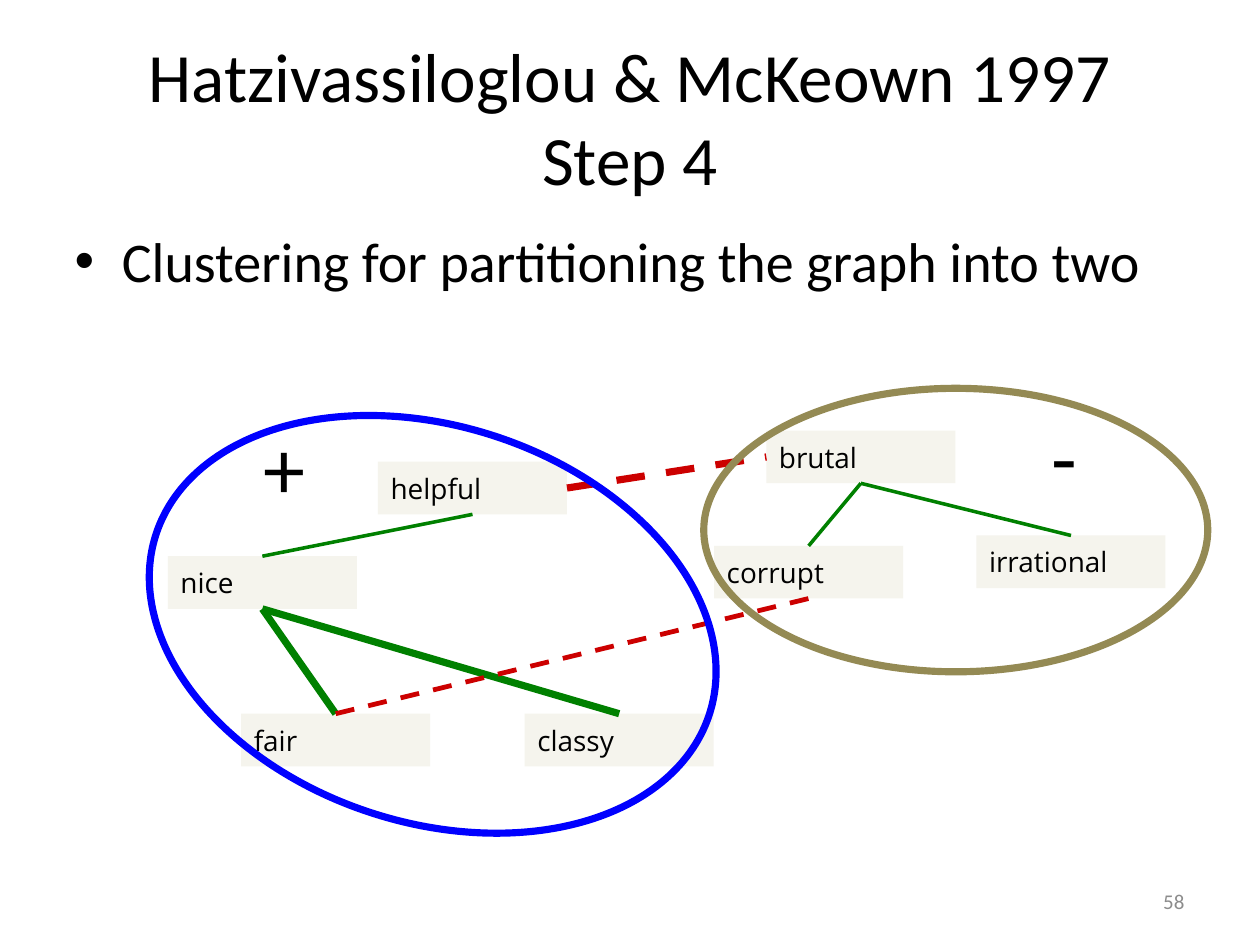
from dataclasses import dataclass
from typing import Any, NamedTuple, Optional

from pptx import Presentation
from pptx.dml.color import RGBColor
from pptx.enum.dml import MSO_LINE
from pptx.enum.shapes import MSO_CONNECTOR, MSO_SHAPE
from pptx.enum.text import MSO_ANCHOR, PP_ALIGN
from pptx.oxml.ns import qn
from pptx.util import Cm, Pt
from lxml.etree import SubElement


@dataclass(frozen=True)
class Theme:
    ink: str = "000000"
    gray: str = "8C8C8C"
    cream: str = "F5F4ED"
    green: str = "008000"
    red: str = "CC0000"
    blue: str = "0000FF"
    olive: str = "948A54"
    main: str = "Calibri"
    label: str = "Open Sans"
    title: float = 43.6
    body: float = 35.3
    sign: float = 52.9
    word: float = 17.6
    number: float = 13.2


class Box(NamedTuple):
    left: float
    top: float
    width: float
    height: float


@dataclass(frozen=True)
class Text:
    words: str
    box: Box
    size: float
    color: str = Theme.ink
    align: PP_ALIGN = PP_ALIGN.LEFT
    anchor: MSO_ANCHOR = MSO_ANCHOR.TOP
    wrap: bool = True
    bullet: bool = False


class Word(NamedTuple):
    name: str
    left: float
    top: float


class Edge(NamedTuple):
    start: str
    out: int
    end: str
    into: int
    color: str
    width: float
    dash: Optional[MSO_LINE] = None


class Ring(NamedTuple):
    box: Box
    color: str
    turn: float = 0


THEME = Theme()
TOP, LEFT, BOTTOM, RIGHT = range(4)
WORD_W, WORD_H = 4.2, 1.17  # cm

TEXTS = [
    Text("Hatzivassiloglou & McKeown 1997\nStep 4", Box(1.4, 0.84, 25.2, 3.5),
         THEME.title, align=PP_ALIGN.CENTER, anchor=MSO_ANCHOR.MIDDLE),
    Text("Clustering for partitioning the graph into two",
         Box(1.38, 4.9, 25.2, 13.86), THEME.body, bullet=True),
    Text("58", Box(20.07, 19.46, 6.53, 1.12), THEME.number, THEME.gray,
         PP_ALIGN.RIGHT, MSO_ANCHOR.MIDDLE),
]
SIGNS = [
    Text("+", Box(5.57, 9.09, 1.45, 2.51), THEME.sign, wrap=False),
    Text("-", Box(23.08, 8.86, 1.09, 2.51), THEME.sign, wrap=False),
]
WORDS = [
    Word("classy", 11.66, 15.86),
    Word("nice", 3.73, 12.36),
    Word("helpful", 8.4, 10.26),
    Word("fair", 5.36, 15.86),
    Word("brutal", 17.03, 9.57),
    Word("irrational", 21.7, 11.9),
    Word("corrupt", 15.87, 12.13),
]
EDGES = [
    Edge("brutal", BOTTOM, "corrupt", TOP, THEME.green, 2.25),
    Edge("nice", BOTTOM, "classy", TOP, THEME.green, 4.5),
    Edge("nice", BOTTOM, "fair", TOP, THEME.green, 4.5),
    Edge("fair", TOP, "corrupt", BOTTOM, THEME.red, 3, MSO_LINE.DASH),
    Edge("irrational", TOP, "brutal", BOTTOM, THEME.green, 2.25),
    Edge("helpful", BOTTOM, "nice", TOP, THEME.green, 2.25),
    Edge("helpful", RIGHT, "brutal", LEFT, THEME.red, 4.5, MSO_LINE.DASH),
]
RINGS = [
    Ring(Box(3.15, 9.47, 12.93, 8.81), THEME.blue, 18),
    Ring(Box(15.64, 8.63, 11.2, 6.3), THEME.olive),
]


def apply(item: Any, values: dict[str, Any]) -> None:
    for name, value in values.items():
        setattr(item, name, value)


def place(box: Box) -> list[Cm]:
    return [Cm(side) for side in box]


def write(frame: Any, text: Text, face: str) -> None:
    apply(frame, dict(
        word_wrap=text.wrap, vertical_anchor=text.anchor,
        margin_left=Cm(0.28), margin_right=Cm(0.28),
        margin_top=Cm(0.14), margin_bottom=Cm(0.14)))
    para = frame.paragraphs[0]
    para.text = text.words
    para.alignment = text.align
    if text.bullet:
        props = para._p.get_or_add_pPr()
        props.set("marL", str(Cm(1.05)))
        props.set("indent", str(-Cm(1.05)))
        SubElement(props, qn("a:buFont")).set("typeface", "Arial")
        SubElement(props, qn("a:buChar")).set("char", "•")
    for run in para.runs:
        apply(run.font, dict(name=face, size=Pt(text.size)))
        run.font.color.rgb = RGBColor.from_string(text.color)


def draw_text(slide: Any, text: Text) -> None:
    frame = slide.shapes.add_textbox(*place(text.box)).text_frame
    write(frame, text, THEME.main)


def draw_word(slide: Any, word: Word) -> Any:
    box = Box(word.left, word.top, WORD_W, WORD_H)
    shape = slide.shapes.add_shape(MSO_SHAPE.RECTANGLE, *place(box))
    shape.shadow.inherit = False
    shape.fill.solid()
    shape.fill.fore_color.rgb = RGBColor.from_string(THEME.cream)
    shape.line.fill.background()
    write(shape.text_frame, Text(word.name, box, THEME.word,
                                 anchor=MSO_ANCHOR.MIDDLE), THEME.label)
    return shape


def draw_edge(slide: Any, edge: Edge, nodes: dict[str, Any]) -> None:
    line = slide.shapes.add_connector(MSO_CONNECTOR.STRAIGHT, 0, 0, 0, 0)
    line.begin_connect(nodes[edge.start], edge.out)
    line.end_connect(nodes[edge.end], edge.into)
    line.line.color.rgb = RGBColor.from_string(edge.color)
    apply(line.line, dict(width=Pt(edge.width), dash_style=edge.dash))
    SubElement(line._element.spPr, qn("a:effectLst"))


def draw_ring(slide: Any, ring: Ring) -> None:
    shape = slide.shapes.add_shape(MSO_SHAPE.OVAL, *place(ring.box))
    shape.shadow.inherit = False
    shape.rotation = ring.turn
    shape.fill.background()
    shape.line.color.rgb = RGBColor.from_string(ring.color)
    shape.line.width = Pt(4.5)


def main() -> None:
    deck = Presentation()
    apply(deck, dict(slide_width=Cm(28), slide_height=Cm(21)))
    slide = deck.slides.add_slide(deck.slide_layouts[6])

    # Title, bullet and page number
    for text in TEXTS:
        draw_text(slide, text)

    # Word graph
    nodes = {word.name: draw_word(slide, word) for word in WORDS}
    for edge in EDGES:
        draw_edge(slide, edge, nodes)

    # Clusters and their signs
    for ring in RINGS:
        draw_ring(slide, ring)
    for sign in SIGNS:
        draw_text(slide, sign)

    deck.save("out.pptx")


if __name__ == "__main__":
    main()
